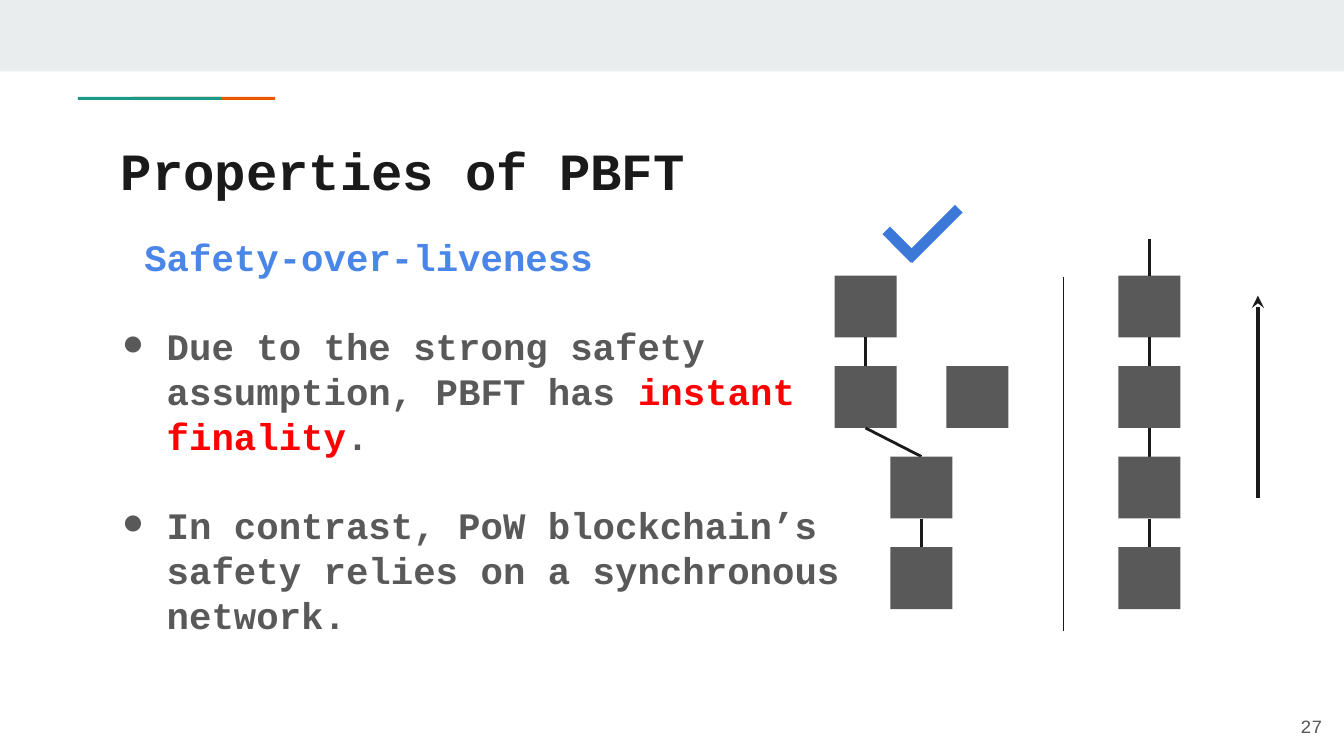
from lxml import etree
from pptx import Presentation
from pptx.dml.color import RGBColor
from pptx.enum import shapes, text
from pptx.oxml import ns
from pptx.util import Pt

DARK = RGBColor(0x1A, 0x1A, 0x1A)
GRAY = RGBColor(0x59, 0x59, 0x59)
PALE = RGBColor(0xE9, 0xED, 0xEE)
ORANGE = RGBColor(0xEB, 0x56, 0x00)
TEAL = RGBColor(0x1A, 0x99, 0x88)
SKY = RGBColor(0x4A, 0x86, 0xE8)
BLUE = RGBColor(0x3C, 0x78, 0xD8)
RED = RGBColor(0xFF, 0x00, 0x00)
FONT = "Courier New"
BOX, STEP, TOP = 33.2, 48.5, 147.6
LEFT, MID, RIGHT, CHAIN = 447.1, 477, 507, 599.2


def add_rect(slide, x, y, w, h, fill, turn=0):
    """Draw a plain filled rectangle."""
    rect = slide.shapes.add_shape(
        shapes.MSO_SHAPE.RECTANGLE, Pt(x), Pt(y), Pt(w), Pt(h))
    rect.shadow.inherit = False
    rect.fill.solid()
    rect.fill.fore_color.rgb = fill
    rect.line.fill.background()
    rect.rotation = turn


def add_line(slide, x1, y1, x2, y2, width=1.5, head=None):
    """Draw a straight line, with an optional arrowhead at its start."""
    line = slide.shapes.add_connector(
        shapes.MSO_CONNECTOR.STRAIGHT, Pt(x1), Pt(y1), Pt(x2), Pt(y2))
    line.line.color.rgb = DARK
    line.line.width = Pt(width)
    if head:
        end = etree.SubElement(line.line._get_or_add_ln(), ns.qn("a:headEnd"))
        end.set("type", head)
    etree.SubElement(line._element.spPr, ns.qn("a:effectLst"))


def set_frame(shape, x, y, w, h, inset=7.2, anchor=text.MSO_ANCHOR.TOP):
    """Place a text shape and return its frame."""
    shape.left, shape.top, shape.width, shape.height = map(Pt, (x, y, w, h))
    frame = shape.text_frame
    frame.word_wrap = True
    frame.auto_size = text.MSO_AUTO_SIZE.NONE
    frame.vertical_anchor = anchor
    frame.margin_left = frame.margin_right = frame.margin_bottom = Pt(7.2)
    frame.margin_top = Pt(inset)
    return frame


def style(run, size, color, bold=True):
    """Set the font of a run."""
    run.font.name = FONT
    run.font.size = Pt(size)
    run.font.bold = bold
    run.font.color.rgb = color


def add_item(para, parts, left, bullet=False):
    """Fill a body paragraph with coloured runs."""
    para.line_spacing = Pt(24)
    para.space_before = Pt(24 if bullet else 0)
    for words, color in parts:
        run = para.add_run()
        run.text = words
        style(run, 20, color)
    props = para._p.get_or_add_pPr()
    props.set("marL", str(Pt(left)))
    props.set("indent", str(Pt(-24 if bullet else 0)))
    if bullet:
        tint = etree.SubElement(props, ns.qn("a:buClr"))
        etree.SubElement(tint, ns.qn("a:srgbClr")).set("val", str(GRAY))
        etree.SubElement(props, ns.qn("a:buFont")).set("typeface", FONT)
        etree.SubElement(props, ns.qn("a:buChar")).set("char", "●")
    else:
        etree.SubElement(props, ns.qn("a:buNone"))


def add_text(slide):
    """Write the title, the body and the page number."""
    frame = set_frame(slide.shapes.title, 57.6, 61.2, 605.5, 42.5, 13)
    frame.text = "Properties of PBFT"
    frame.paragraphs[0].alignment = text.PP_ALIGN.LEFT
    style(frame.paragraphs[0].runs[0], 28, DARK)

    frame = set_frame(slide.placeholders[1], 46.1, 115.2, 444.2, 259.2, 10)
    add_item(frame.paragraphs[0], [("Safety-over-liveness", SKY)], 24)
    add_item(frame.add_paragraph(), [
        ("Due to the strong safety assumption, PBFT has ", GRAY),
        ("instant finality", RED), (".", GRAY)], 36, True)
    add_item(frame.add_paragraph(), [
        ("In contrast, PoW blockchain’s safety relies on a "
         "synchronous network.", GRAY)], 36, True)

    page = slide.shapes.add_textbox(0, 0, 0, 0)
    frame = set_frame(page, 672.5, 373.7, 43.2, 31,
                      anchor=text.MSO_ANCHOR.MIDDLE)
    frame.text = "27"
    frame.paragraphs[0].alignment = text.PP_ALIGN.RIGHT
    style(frame.paragraphs[0].runs[0], 10, GRAY, False)


def add_chain(slide, cols):
    """Stack blocks from the top down and link each to the next."""
    for row, x in enumerate(cols):
        y = TOP + row * STEP
        add_rect(slide, x, y, BOX, BOX, GRAY)
        if row + 1 < len(cols):
            add_line(slide, x + BOX / 2, y + BOX,
                     cols[row + 1] + BOX / 2, y + STEP)


def main():
    """Build the slide."""
    deck = Presentation()
    deck.slide_width, deck.slide_height = Pt(720), Pt(405)
    slide = deck.slides.add_slide(deck.slide_layouts[1])
    add_rect(slide, 0, 0, 720, 38.3, PALE)
    add_rect(slide, 71, 52, 76.4, 1.6, ORANGE)
    add_rect(slide, 41.8, 52, 76.6, 1.6, TEAL)
    add_text(slide)
    add_chain(slide, [LEFT, LEFT, MID, MID])
    add_rect(slide, RIGHT, TOP + STEP, BOX, BOX, GRAY)
    add_chain(slide, [CHAIN] * 4)
    add_line(slide, CHAIN + BOX / 2, 128.2, CHAIN + BOX / 2, TOP)
    add_line(slide, 673.9, 158.4, 673.9, 267, 2.25, "stealth")
    add_rect(slide, 471.6, 128.2, 21.6, 5.8, BLUE, 45)
    add_rect(slide, 481, 122.4, 38.2, 5.8, BLUE, 135)
    add_line(slide, 569.6, 148.5, 569.6, 338.2, 0.75)
    deck.save("out.pptx")


if __name__ == "__main__":
    main()
